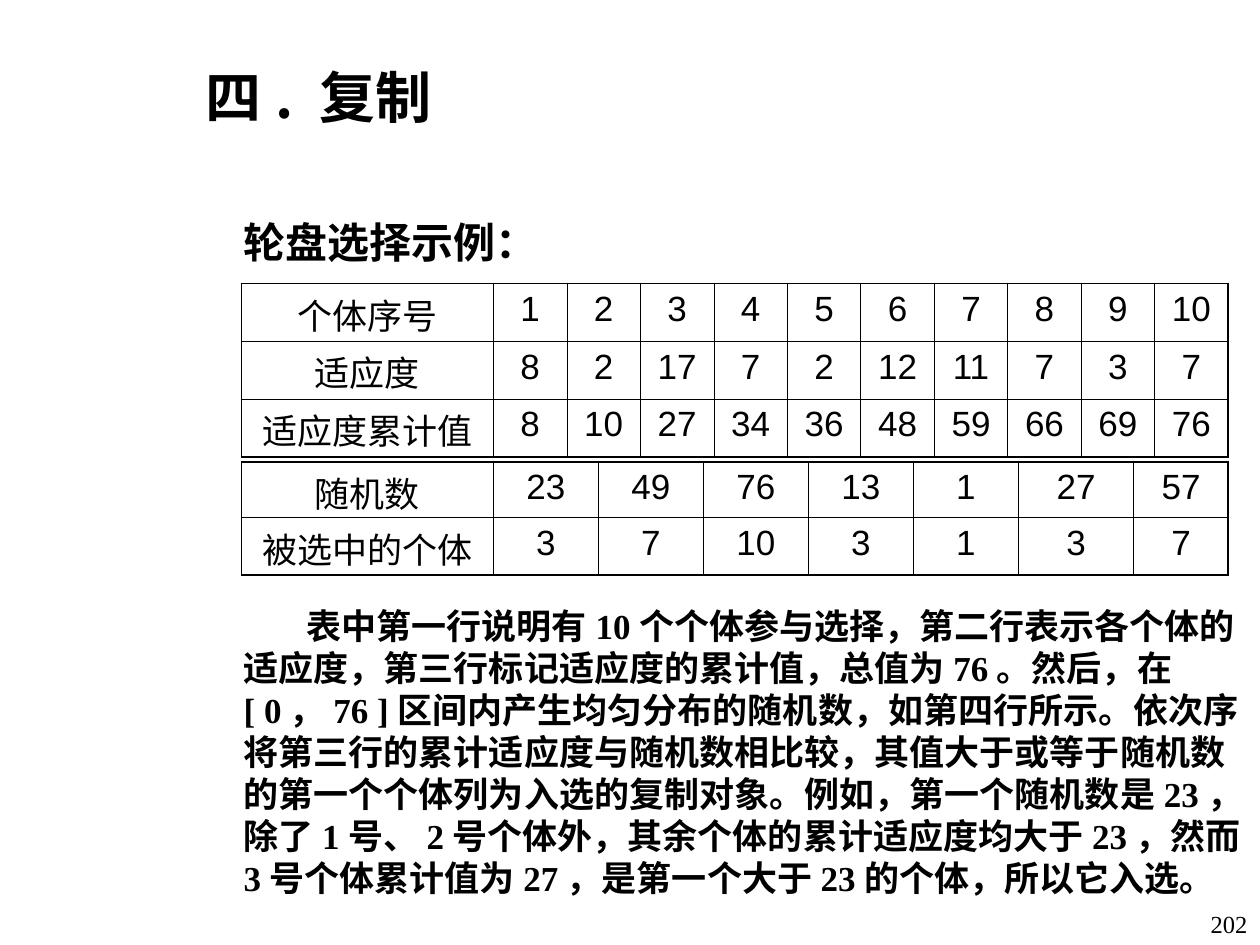
from lxml import etree
from pptx import Presentation, util as u
from pptx.dml.color import RGBColor
from pptx.enum import text
from pptx.oxml import ns

BLACK = RGBColor(0, 0, 0)
CJK_FONT = "Noto Sans CJK SC"
SERIF = "Times New Roman"
SANS = "Arial"
GRID = u.Inches(1) // 12  # the slide is 120 columns by 90 rows
OUTER, INNER = 1.08, 0.45  # border widths in points

EXPLANATION = (
    "表中第一行说明有10个个体参与选择，第二行表示各个体的适应度，"
    "第三行标记适应度的累计值，总值为76。然后，在[ 0，76 ]区间内产生均匀分布的随机数，"
    "如第四行所示。依次序将第三行的累计适应度与随机数相比较，"
    "其值大于或等于随机数的第一个个体列为入选的复制对象。例如，第一个随机数是23，"
    "除了1号、2号个体外，其余个体的累计适应度均大于23，"
    "然而3号个体累计值为27，是第一个大于23的个体，所以它入选。"
)
FITNESS_ROWS = [
    ["个体序号", 1, 2, 3, 4, 5, 6, 7, 8, 9, 10],
    ["适应度", 8, 2, 17, 7, 2, 12, 11, 7, 3, 7],
    ["适应度累计值", 8, 10, 27, 34, 36, 48, 59, 66, 69, 76],
]
SELECTION_ROWS = [
    ["随机数", 23, 49, 76, 13, 1, 27, 57],
    ["被选中的个体", 3, 7, 10, 3, 1, 3, 7],
]


def cells(count):
    return round(count * GRID)


def write(frame, words, size, font=SERIF, bold=False, line=None,
          align=text.PP_ALIGN.LEFT, anchor=text.MSO_ANCHOR.TOP):
    frame.word_wrap = True
    frame.vertical_anchor = anchor
    paragraph = frame.paragraphs[0]
    paragraph.alignment = align
    paragraph.space_before = u.Pt(0)
    if line:
        paragraph.line_spacing = u.Pt(line)
    run = paragraph.add_run()
    run.text = words
    run.font.size = u.Pt(size)
    run.font.name = font
    run.font.bold = bold
    run.font.color.rgb = BLACK
    east_asian = etree.SubElement(run.font._element, ns.qn("a:ea"))
    east_asian.set("typeface", CJK_FONT)


def place(shape, left, top, width, height):
    shape.left, shape.top = cells(left), cells(top)
    shape.width, shape.height = cells(width), cells(height)
    shape.text_frame.auto_size = text.MSO_AUTO_SIZE.NONE
    return shape.text_frame


def add_text(slide, left, top, width, height, words, **style):
    box = slide.shapes.add_textbox(0, 0, 0, 0)
    write(place(box, left, top, width, height), words, **style)


def remove_bullet(paragraph, first_line):
    properties = paragraph._p.get_or_add_pPr()
    properties.set("marL", "0")
    properties.set("indent", str(cells(first_line)))
    etree.SubElement(properties, ns.qn("a:buNone"))


def set_border(cell, side, width):
    border = etree.SubElement(cell._tc.get_or_add_tcPr(), ns.qn("a:ln" + side))
    border.set("w", str(u.Pt(width)))
    fill = etree.SubElement(border, ns.qn("a:solidFill"))
    etree.SubElement(fill, ns.qn("a:srgbClr")).set("val", str(BLACK))


def add_table(slide, top, rows, widths, heights):
    table = slide.shapes.add_table(
        len(rows), len(widths), cells(23), cells(top),
        cells(sum(widths)), cells(sum(heights))).table
    table.first_row = table.horz_banding = False
    for column, width in zip(table.columns, widths):
        column.width = cells(width)
    for row, height in zip(table.rows, heights):
        row.height = cells(height)
    for i, values in enumerate(rows):
        for j, value in enumerate(values):
            cell = table.cell(i, j)
            write(cell.text_frame, str(value), 20, font=SANS,
                  align=text.PP_ALIGN.CENTER)
            if j == 0:  # the taller label font needs room inside the row
                cell.margin_top, cell.margin_bottom = u.Inches(0.04), 0
            edges = {"L": j == 0, "R": j == len(widths) - 1,
                     "T": i == 0, "B": i == len(rows) - 1}
            for side, is_outer in edges.items():
                set_border(cell, side, OUTER if is_outer else INNER)
            cell.fill.background()


def main():
    presentation = Presentation()
    presentation.slide_width, presentation.slide_height = cells(120), cells(90)
    slide = presentation.slides.add_slide(presentation.slide_layouts[1])
    title, body = slide.placeholders

    write(place(title, 18.4, 5.3, 67, 7.7), "四. 复制", 32, font=CJK_FONT,
          bold=True, line=38.5, align=text.PP_ALIGN.JUSTIFY)
    add_text(slide, 22, 20, 53, 6, "轮盘选择示例：", size=24, bold=True, line=29)
    add_table(slide, 27, FITNESS_ROWS, [24] + [7] * 10, [5.5] * 3)
    add_table(slide, 44, SELECTION_ROWS, [24] + [10] * 5 + [11, 9], [5.25, 5.45])

    frame = place(body, 22, 57, 98, 29.3)
    remove_bullet(frame.paragraphs[0], first_line=6)
    write(frame, EXPLANATION, 20, bold=True, line=24)
    add_text(slide, 114, 84, 6, 6, "202", size=14,
             align=text.PP_ALIGN.RIGHT, anchor=text.MSO_ANCHOR.BOTTOM)

    presentation.save("out.pptx")


if __name__ == "__main__":
    main()
